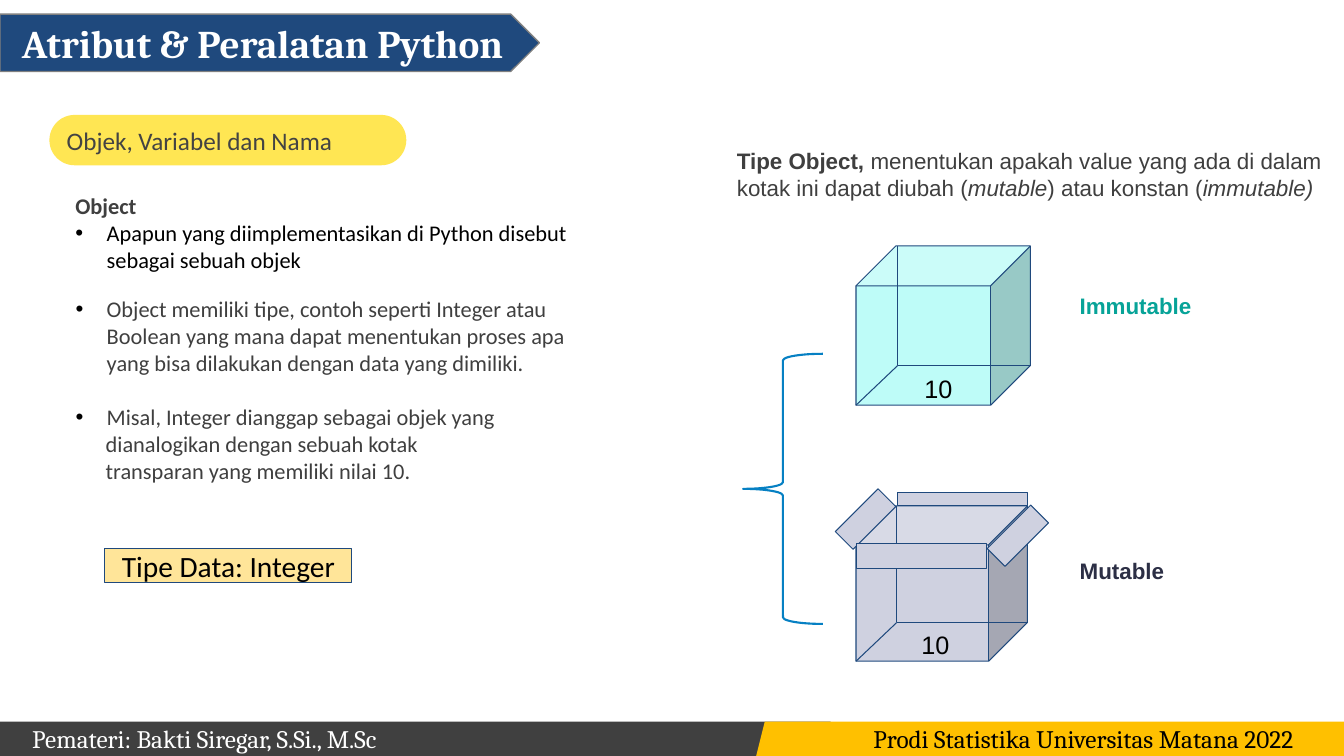
from lxml import etree
from pptx import Presentation
from pptx.dml.color import RGBColor
from pptx.enum.shapes import MSO_CONNECTOR, MSO_SHAPE
from pptx.enum.text import MSO_ANCHOR, PP_ALIGN
from pptx.oxml.ns import qn
from pptx.util import Inches, Pt

RECTANGLE = MSO_SHAPE.RECTANGLE
STRAIGHT = MSO_CONNECTOR.STRAIGHT
LEFT, CENTER, RIGHT = PP_ALIGN.LEFT, PP_ALIGN.CENTER, PP_ALIGN.RIGHT
TOP, MIDDLE = MSO_ANCHOR.TOP, MSO_ANCHOR.MIDDLE

BLACK = RGBColor(0x00, 0x00, 0x00)
WHITE = RGBColor(0xFF, 0xFF, 0xFF)
CHARCOAL = RGBColor(0x40, 0x40, 0x40)
BODY_GRAY = RGBColor(0x3F, 0x3F, 0x3F)
TOPIC_GRAY = RGBColor(0x43, 0x43, 0x43)
EDGE_GRAY = RGBColor(0x80, 0x80, 0x80)
NAVY = RGBColor(0x1F, 0x49, 0x7D)
GOLD = RGBColor(0xFF, 0xC0, 0x00)
YELLOW = RGBColor(0xFF, 0xE6, 0x53)
SAND = RGBColor(0xFF, 0xE5, 0x99)
MINT = RGBColor(0xBE, 0xFC, 0xF8)
LAVENDER = RGBColor(0xCF, 0xD1, 0xE0)
TEAL = RGBColor(0x07, 0xA3, 0x98)
INK = RGBColor(0x2C, 0x2F, 0x45)
BRACE_BLUE = RGBColor(0x06, 0x80, 0xC3)


def add_box(slide, kind, left, top, width, height, fill=None, line=None, weight=0.75):
    shape = slide.shapes.add_shape(
        kind, Inches(left), Inches(top), Inches(width), Inches(height))
    shape.shadow.inherit = False
    if fill is None:
        shape.fill.background()
    else:
        shape.fill.solid()
        shape.fill.fore_color.rgb = fill
    if line is None:
        shape.line.fill.background()
    else:
        shape.line.color.rgb = line
        shape.line.width = Pt(weight)
    return shape


def add_text_box(slide, left, top, width, height):
    return slide.shapes.add_textbox(
        Inches(left), Inches(top), Inches(width), Inches(height))


def add_edge(slide, start, end):
    points = [Inches(value) for value in (*start, *end)]
    edge = slide.shapes.add_connector(STRAIGHT, *points)
    edge.line.color.rgb = NAVY
    edge.line.width = Pt(0.75)
    etree.SubElement(edge._element.spPr, qn("a:effectLst"))


def set_margins(box, left=0.1, vertical=0.05):
    frame = box.text_frame
    frame.margin_left, frame.margin_right = Inches(left), Inches(0.1)
    frame.margin_top = frame.margin_bottom = Inches(vertical)


def write(box, text, size=16, font="Calibri", color=BODY_GRAY, bold=False, align=LEFT,
          anchor=TOP, indent=0, bullet=False, before=0, spacing=None, new=False):
    """Write one paragraph; text is a string or a list of (text, bold, italic) spans."""
    frame = box.text_frame
    frame.word_wrap = True
    frame.vertical_anchor = anchor
    para = frame.add_paragraph() if new else frame.paragraphs[0]
    properties = para._p.get_or_add_pPr()
    properties.set("marL", str(Inches(indent)))
    properties.set("indent", str(Inches(-0.31 if bullet else 0)))
    if bullet:
        bullet_color = etree.SubElement(properties, qn("a:buClr"))
        etree.SubElement(bullet_color, qn("a:srgbClr")).set("val", str(BLACK))
        etree.SubElement(properties, qn("a:buFont")).set("typeface", "Arial")
        etree.SubElement(properties, qn("a:buChar")).set("char", "•")
    para.alignment = align
    if before:
        para.space_before = Pt(before)
    if spacing:
        para.line_spacing = spacing
    spans = [(text, bold, False)] if isinstance(text, str) else text
    for words, is_bold, is_italic in spans:
        span = para.add_run()
        span.text = words
        span.font.name = font
        span.font.size = Pt(size)
        span.font.bold = is_bold
        span.font.italic = is_italic
        span.font.color.rgb = color


def add_footer(slide, top=7.16, height=0.34):
    speaker = add_box(slide, RECTANGLE, 0, top, 8.24, height, CHARCOAL)
    set_margins(speaker, left=0.32)
    write(speaker, "Pemateri: Bakti Siregar, S.Si., M.Sc", size=18, font="Cambria",
          color=WHITE, anchor=MIDDLE)
    program = add_box(slide, MSO_SHAPE.PARALLELOGRAM, 7.5, top, 5.96, height, GOLD)
    write(program, "Prodi Statistika Universitas Matana 2022", size=18, font="Cambria",
          color=BLACK, align=RIGHT, anchor=MIDDLE)


def add_header(slide):
    title = add_box(slide, MSO_SHAPE.PENTAGON, 0, 0.14, 5.35, 0.57, NAVY, EDGE_GRAY, 1)
    write(title, "Atribut & Peralatan Python", size=28, font="Cambria", color=WHITE,
          bold=True, align=CENTER, anchor=MIDDLE)
    topic = add_box(slide, MSO_SHAPE.ROUNDED_RECTANGLE, 0.49, 1.14, 3.54, 0.5, YELLOW)
    topic.adjustments[0] = 0.5
    set_margins(topic, vertical=0.1)
    write(topic, "Objek, Variabel dan Nama", size=18, color=TOPIC_GRAY, anchor=MIDDLE)


def add_object_notes(slide, left=0.52, top=1.86):
    definition = add_text_box(slide, left, top, 5.73, 0.91)
    write(definition, "Object", bold=True, indent=0.13)
    write(definition, "Apapun yang diimplementasikan di Python disebut sebagai sebuah objek",
          color=BLACK, indent=0.44, bullet=True, new=True)

    details = add_text_box(slide, left, top + 1.02, 5.65, 1.99)
    write(details, "Object memiliki tipe, contoh seperti Integer atau Boolean yang mana "
          "dapat menentukan proses apa yang bisa dilakukan dengan data yang dimiliki.",
          indent=0.44, bullet=True)
    write(details, "Misal, Integer dianggap sebagai objek yang",
          indent=0.44, bullet=True, before=19.5, new=True)
    for text in ("dianalogikan dengan sebuah kotak", "transparan yang memiliki nilai 10."):
        write(details, text, indent=0.43, new=True)

    data_type = add_box(slide, RECTANGLE, left + 0.52, top + 3.58, 2.45, 0.34, SAND, NAVY)
    set_margins(data_type, vertical=0.1)
    write(data_type, "Tipe Data: Integer", size=21, color=BLACK, align=CENTER, anchor=MIDDLE)


def add_type_intro(slide):
    intro = add_text_box(slide, 7.08, 1.41, 6.22, 0.91)
    write(intro, [
        ("Tipe Object, ", True, False),
        ("menentukan apakah value yang ada di dalam kotak ini dapat diubah (", False, False),
        ("mutable", False, True),
        (") atau konstan (", False, False),
        ("immutable)", False, True),
    ], font="Arial", indent=0.13)
    add_box(slide, MSO_SHAPE.LEFT_BRACE, 7.37, 3.51, 0.79, 2.68, line=BRACE_BLUE, weight=1.5)


def add_glass_cube(slide, left, top, width, height, fill):
    """Draw a cube whose three hidden edges show through."""
    add_box(slide, MSO_SHAPE.CUBE, left, top, width, height, fill, NAVY)
    depth = height / 4
    corner = (left + depth + 0.02, top + height - depth)
    for end in ((corner[0], top), (left + width, corner[1]), (left, top + height)):
        add_edge(slide, corner, end)


def add_flaps(slide, left, top):
    flaps = [
        (-0.03, -0.17, 0.25, 0.6, 45),
        (0, 0.37, 1.29, 0.25, 0),
        (1.48, -0.01, 0.25, 0.61, 45),
        (0.41, -0.13, 1.29, 0.13, 0),
    ]
    for x, y, width, height, angle in flaps:
        flap = add_box(slide, RECTANGLE, left + x, top + y, width, height, LAVENDER, NAVY)
        flap.rotation = angle


def add_value(slide, left, top):
    value = add_text_box(slide, left, top, 0.77, 0.44)
    set_margins(value, vertical=0.1)
    write(value, "10", size=18, font="Arial", color=BLACK)


def add_label(slide, text, top, color):
    label = add_text_box(slide, 10.61, top, 1.75, 0.37)
    write(label, text, font="Arial", color=color, bold=True, spacing=0.9)


def add_boxes(slide, left=8.49):
    add_glass_cube(slide, left, 2.44, 1.73, 1.58, MINT)
    add_value(slide, left + 0.58, 3.6)
    add_label(slide, "Immutable", 2.88, TEAL)

    add_glass_cube(slide, left, 5.02, 1.7, 1.54, LAVENDER)
    add_flaps(slide, left, 5.02)
    add_value(slide, left + 0.55, 6.14)
    add_label(slide, "Mutable", 5.51, INK)


def main():
    deck = Presentation()
    deck.slide_width, deck.slide_height = Inches(13.33), Inches(7.5)
    slide = deck.slides.add_slide(deck.slide_layouts[6])
    add_footer(slide)
    add_header(slide)
    add_object_notes(slide)
    add_type_intro(slide)
    add_boxes(slide)
    deck.save("out.pptx")


if __name__ == "__main__":
    main()
